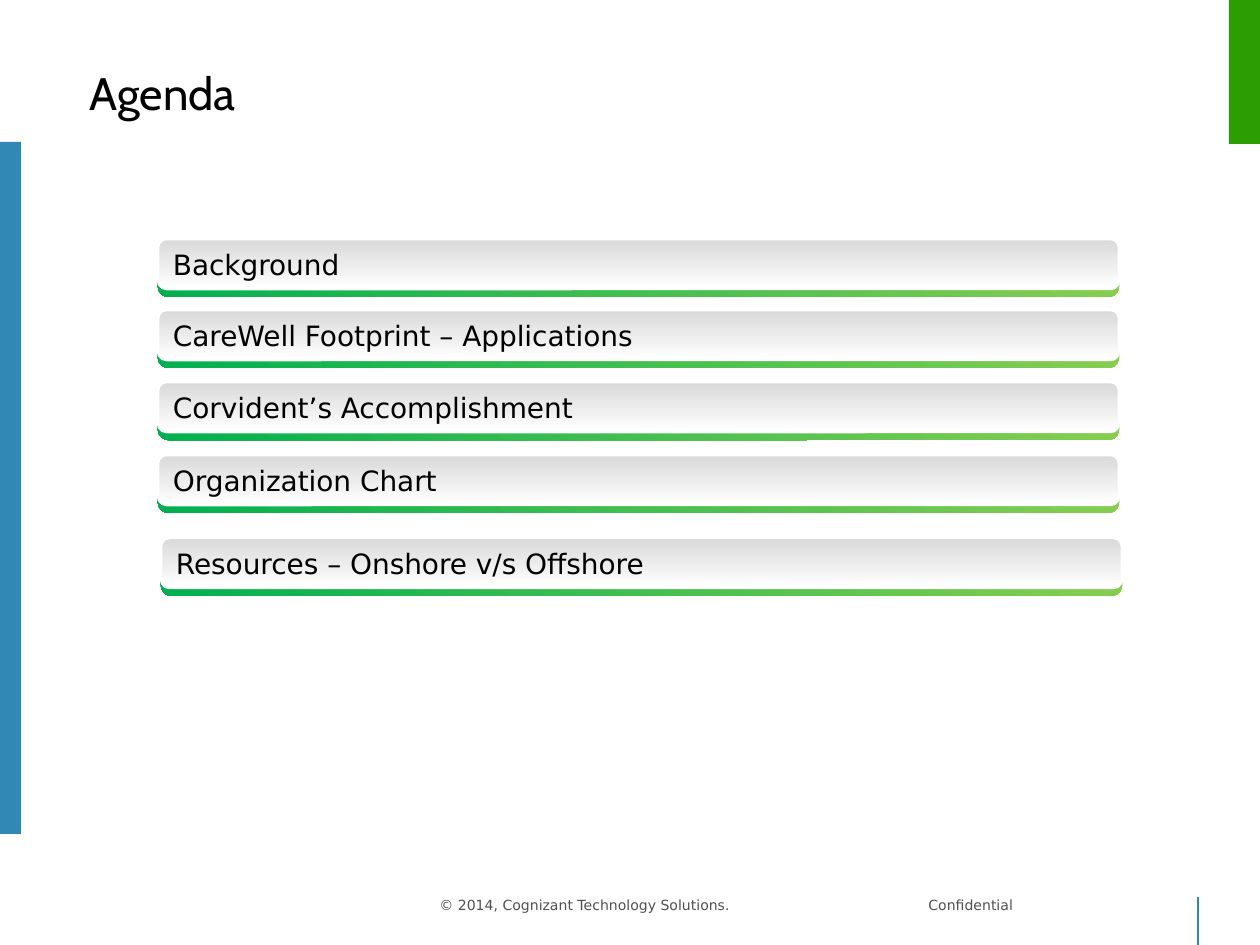
from lxml.etree import SubElement as Sub
from pptx import Presentation
from pptx.dml.color import RGBColor
from pptx.enum.shapes import MSO_CONNECTOR as Link, MSO_SHAPE as Kind
from pptx.enum.text import MSO_ANCHOR as Anchor, PP_ALIGN as Align
from pptx.oxml.ns import qn
from pptx.util import Emu, Pt

SCALE = 914400 / 126


def px(*nums):
    return [Emu(round(n * SCALE)) for n in nums]


def color(code):
    return RGBColor.from_string(code)


class Deck:
    """Holds the style and the current slide, and draws each kind of element."""

    sans, head = "DejaVu Sans", "Cabin"
    black, white, gray = "000000", "FFFFFF", "505050"
    blue, green = "3188B4", "2D9E01"
    leaf, silver = ("92D050", "00B050"), ("D9D9D9", "FFFFFF")

    def __init__(self):
        self.prs = Presentation()
        self.prs.slide_width, self.prs.slide_height = px(1260, 945)
        self.slide = self.prs.slides.add_slide(self.prs.slide_layouts[5])
        self.shapes = self.slide.shapes

    def style(self, para, size, tone, face):
        para.alignment = Align.LEFT
        for run in para.runs:
            run.font.size, run.font.name = Pt(size), face
            run.font.color.rgb = color(tone)

    def title(self, text, *box):
        item = self.shapes.title
        item.left, item.top, item.width, item.height = px(*box)
        frame = item.text_frame
        frame.text = text
        frame.vertical_anchor = Anchor.MIDDLE
        self.style(frame.paragraphs[0], 26, self.black, self.head)

    def shape(self, kind, *box):
        item = self.shapes.add_shape(kind, *px(*box))
        item.shadow.inherit = False
        item.line.fill.background()
        return item

    def block(self, tone, *box):
        item = self.shape(Kind.RECTANGLE, *box)
        item.fill.solid()
        item.fill.fore_color.rgb = color(tone)

    def plate(self, tones, angle, *box):
        item = self.shape(Kind.ROUNDED_RECTANGLE, *box)
        item.adjustments[0] = 0.17
        item.fill.gradient()
        item.fill.gradient_angle = 360 - angle
        for stop, tone in zip(item.fill.gradient_stops, tones):
            stop.color.rgb = color(tone)
        return item

    def entry(self, text, left, top):
        self.plate(self.leaf, 120, left, top, 961, 58)
        face = self.plate(self.silver, 90, left, top, 961, 50)
        face.line.color.rgb = color(self.white)
        face.line.width = Pt(1.5)
        frame = face.text_frame
        frame.text = text
        frame.vertical_anchor = Anchor.MIDDLE
        self.style(frame.paragraphs[0], 16, self.black, self.sans)

    def rule(self, tone, *ends):
        item = self.shapes.add_connector(Link.STRAIGHT, *px(*ends))
        item.line.color.rgb = color(tone)
        item.line.width = Pt(1)
        Sub(item.element.spPr, qn("a:effectLst"))

    def footer(self, text, stop, *box):
        frame = self.shapes.add_textbox(*px(*box)).text_frame
        frame.word_wrap = True
        frame.text = text
        para = frame.paragraphs[0]
        tabs = Sub(para._p.get_or_add_pPr(), qn("a:tabLst"))
        Sub(tabs, qn("a:tab"), pos=str(px(stop)[0]), algn="l")
        self.style(para, 8, self.gray, self.sans)


def main():
    deck = Deck()
    deck.rule(deck.blue, 1198, 945, 1198, 897)
    deck.block(deck.blue, 0, 142, 21, 692)
    deck.block(deck.green, 1229, 0, 31, 144)
    deck.footer("© 2014, Cognizant Technology Solutions.\tConfidential",
                489, 427, 890, 713, 50)
    deck.title("Agenda", 77, 50, 1040, 84)
    topics = [
        ("Background", 158, 239),
        ("CareWell Footprint – Applications", 158, 310),
        ("Corvident’s Accomplishment", 158, 382),
        ("Organization Chart", 158, 455),
        ("Resources – Onshore v/s Offshore", 161, 538),
    ]
    for topic in topics:
        deck.entry(*topic)
    deck.prs.save("out.pptx")


if __name__ == "__main__":
    main()
